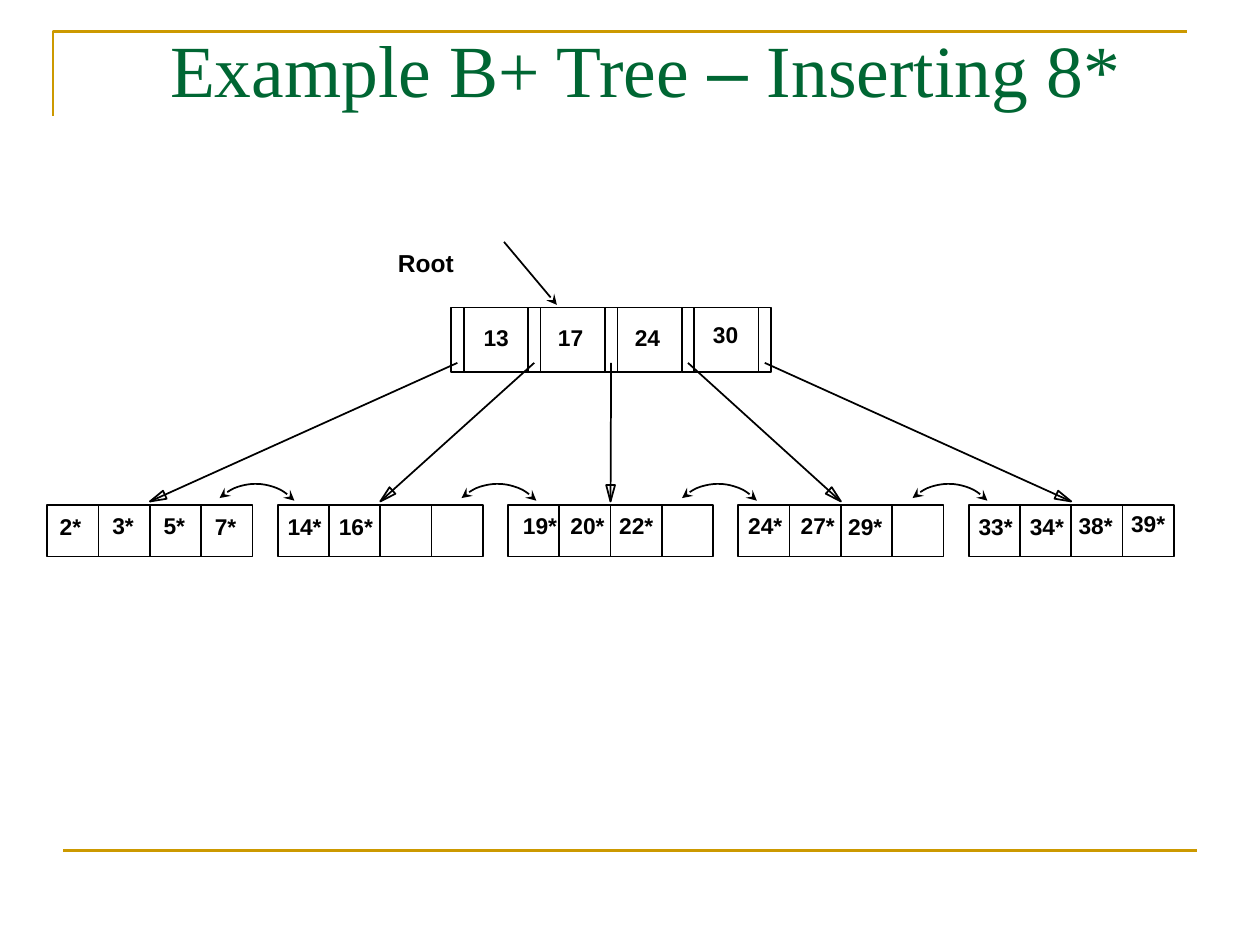
import math
from dataclasses import dataclass

from pptx import Presentation, util as u
from pptx.dml.color import RGBColor
from pptx.enum import shapes, text
from pptx.oxml.ns import qn
from lxml import etree


@dataclass(frozen=True)
class Theme:
    title: str = "006633"
    frame: str = "CC9900"
    ink: str = "000000"
    serif: str = "Times New Roman"
    sans: str = "Arial"
    title_size: float = 42
    root_size: float = 14
    key_size: float = 13
    frame_width: float = 1.5
    ink_width: float = 1


@dataclass(frozen=True)
class Box:
    left: float
    top: float
    width: float
    height: float

    @property
    def bottom(self):
        return self.top + self.height

    @property
    def middle(self):
        return self.left + self.width / 2


THEME = Theme()
WIDTH, HEIGHT = u.Inches(10), u.Inches(7.5)
COLUMN, ROW = WIDTH / 100, HEIGHT / 75

ROOT = Box(35.8, 24.4, 25.4, 5.1)
ROOT_ENTRY, ROOT_POINTER = 6.1, 1
ROOT_KEYS = [("13", 1.6, 0.8), ("17", 1.4, 0.8), ("24", 1.4, 0.8), ("30", 1.5, 0.6)]

FIRST_LEAF = Box(3.76, 40.1, 16.28, 4.07)
LEAF_PITCH, LEAF_SLOTS = 18.28, 4
LEAF_KEYS = [
    [("2*", 0, 0.1), ("3*", 0.1, 0), ("5*", 0.1, 0), ("7*", 0.1, 0.1)],
    [("14*", -0.2, 0.1), ("16*", -0.2, 0.1)],
    [("19*", 0.2, 0), ("20*", -0.1, 0), ("22*", -0.3, 0)],
    [("24*", -0.2, 0), ("27*", -0.1, 0), ("29*", -0.4, 0.1)],
    [("33*", -0.2, 0.1), ("34*", -0.2, 0.1), ("38*", -0.4, 0), ("39*", -0.3, -0.1)],
]
LINK_CENTERS = [20.3, 39.5, 57, 75.3]
LINK_RADIUS, LINK_ROW, LINK_TURN = 4.2, 42.6, 317


def across(columns):
    return round(columns * COLUMN)


def down(rows):
    return round(rows * ROW)


def place(box):
    return across(box.left), down(box.top), across(box.width), down(box.height)


def write(para, words, font=THEME.sans, size=THEME.key_size, color=THEME.ink, bold=False):
    span = para.add_run()
    span.text = words
    span.font.name = font
    span.font.size = u.Pt(size)
    span.font.bold = bold
    span.font.color.rgb = RGBColor.from_string(color)


def set_line(shape, color=THEME.ink, width=THEME.ink_width, **ends):
    shape.line.color.rgb = RGBColor.from_string(color)
    shape.line.width = u.Pt(width)
    outline = shape.line._get_or_add_ln()
    for end in ("headEnd", "tailEnd"):
        if end in ends:
            etree.SubElement(outline, qn(f"a:{end}"), type=ends[end])


def outline_shape(shape, **style):
    shape.fill.background()
    set_line(shape, **style)
    shape.shadow.inherit = False


def add_line(page, start, end, **style):
    line = page.shapes.add_connector(
        shapes.MSO_CONNECTOR.STRAIGHT,
        across(start[0]), down(start[1]), across(end[0]), down(end[1]))
    set_line(line, **style)
    etree.SubElement(line._element.spPr, qn("a:effectLst"))


def add_path(page, points, close, **style):
    spots = [(across(x), down(y)) for x, y in points]
    builder = page.shapes.build_freeform(*spots[0])
    builder.add_line_segments(spots[1:], close=close)
    outline_shape(builder.convert_to_shape(), **style)


def add_preset(page, kind, box, **style):
    shape = page.shapes.add_shape(kind, *place(box))
    outline_shape(shape, **style)
    return shape


def add_label(page, box, words, size=THEME.key_size):
    frame = page.shapes.add_textbox(*place(box)).text_frame
    frame.word_wrap = False
    write(frame.paragraphs[0], words, size=size, bold=True)


def add_key(page, slot, key):
    words, shift, drop = key
    stars = words.count("*")
    width = 2 + (len(words) - stars) + 0.7 * stars
    add_label(page, Box(slot.left + shift, slot.top + drop, width, 3.2), words)


def add_frame(page, box):
    style = dict(color=THEME.frame, width=THEME.frame_width)
    corner = (box.left, box.top)
    add_path(page, [(box.left, box.top + 6.7), corner, (box.left + 90, box.top)], False, **style)
    add_line(page, (box.left + 0.8, box.bottom), (box.left + 90.8, box.bottom), **style)


def add_title(page, box):
    title = page.shapes.title
    title.left, title.top, title.width, title.height = place(box)
    frame = title.text_frame
    frame.auto_size = text.MSO_AUTO_SIZE.NONE
    frame.vertical_anchor = text.MSO_ANCHOR.MIDDLE
    para = frame.paragraphs[0]
    para.alignment = text.PP_ALIGN.LEFT
    for words, font in (("Example B+ Tree ", THEME.serif), ("–", THEME.sans),
                        (" Inserting 8*", THEME.serif)):
        write(para, words, font=font, size=THEME.title_size, color=THEME.title)


def add_root(page, box):
    for index, key in enumerate(ROOT_KEYS):
        slot = Box(box.left + index * ROOT_ENTRY, box.top, ROOT_ENTRY, box.height)
        add_preset(page, shapes.MSO_SHAPE.RECTANGLE, slot)
        edge = slot.left + ROOT_POINTER
        add_line(page, (edge, slot.top), (edge, slot.bottom))
        add_key(page, slot, key)
    last = Box(box.left + len(ROOT_KEYS) * ROOT_ENTRY, box.top, ROOT_POINTER, box.height)
    add_preset(page, shapes.MSO_SHAPE.RECTANGLE, last)
    add_label(page, Box(box.left - 5.2, box.top - 5.2, 6.5, 3.3), "Root", THEME.root_size)
    add_line(page, (box.left + 4.2, box.top - 5.2), (box.left + 8.4, box.top - 0.2),
             tailEnd="stealth")


def add_leaf(page, box, keys):
    width = box.width / LEAF_SLOTS
    slots = [Box(box.left + index * width, box.top, width, box.height)
             for index in range(LEAF_SLOTS)]
    for slot in slots:
        add_preset(page, shapes.MSO_SHAPE.RECTANGLE, slot)
    for slot, key in zip(slots, keys):
        add_key(page, slot, key)


def add_pointer(page, start, tip, length=1.3, half=0.35):
    add_line(page, start, tip)
    angle = math.atan2(tip[1] - start[1], tip[0] - start[0])
    cos, sin = math.cos(angle), math.sin(angle)
    base = [(tip[0] - length * cos - side * sin, tip[1] - length * sin + side * cos)
            for side in (half, -half)]
    add_path(page, [tip, *base], True)


def add_link(page, center):
    box = Box(center - LINK_RADIUS, LINK_ROW - LINK_RADIUS, 2 * LINK_RADIUS, 2 * LINK_RADIUS)
    arc = add_preset(page, shapes.MSO_SHAPE.ARC, box, headEnd="stealth", tailEnd="stealth")
    arc.rotation = LINK_TURN


def add_tree(page, root, first_leaf):
    add_root(page, root)
    for index, keys in enumerate(LEAF_KEYS):
        leaf = Box(first_leaf.left + index * LEAF_PITCH, first_leaf.top,
                   first_leaf.width, first_leaf.height)
        add_leaf(page, leaf, keys)
        start = root.left + index * ROOT_ENTRY + ROOT_POINTER / 2
        add_pointer(page, (start, root.bottom - 0.7), (leaf.middle, leaf.top - 0.3))
    for center in LINK_CENTERS:
        add_link(page, center)


def main():
    deck = Presentation()
    deck.slide_width, deck.slide_height = WIDTH, HEIGHT
    page = deck.slides.add_slide(deck.slide_layouts[5])
    add_frame(page, Box(4.2, 2.5, 90.8, 65))
    add_title(page, Box(12.5, 2.5, 85, 5.8))
    add_tree(page, ROOT, FIRST_LEAF)
    deck.save("out.pptx")


if __name__ == "__main__":
    main()
